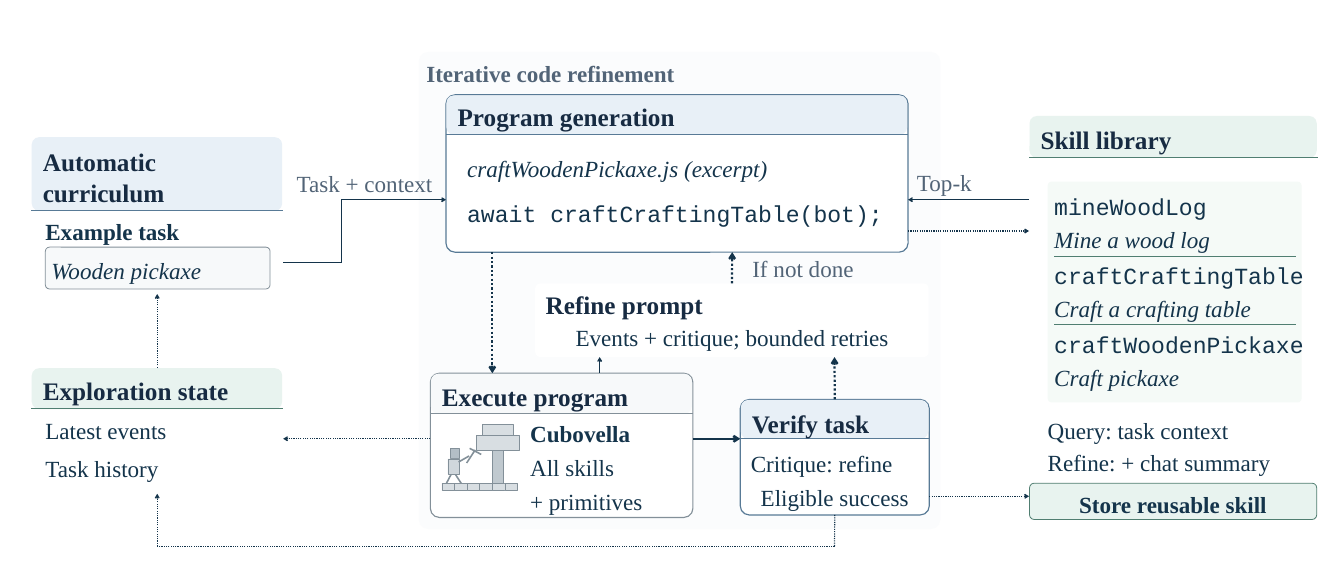
from dataclasses import dataclass

from lxml import etree
from pptx import Presentation
from pptx.dml.color import RGBColor
from pptx.enum.dml import MSO_LINE
from pptx.enum.shapes import MSO_CONNECTOR, MSO_SHAPE
from pptx.enum.text import MSO_ANCHOR, MSO_AUTO_SIZE, PP_ALIGN
from pptx.oxml.ns import qn
from pptx.util import Inches, Pt

STRAIGHT = MSO_CONNECTOR.STRAIGHT
ROUNDED = MSO_SHAPE.ROUNDED_RECTANGLE
RECTANGLE = MSO_SHAPE.RECTANGLE
DOTTED = MSO_LINE.ROUND_DOT
MIDDLE = MSO_ANCHOR.MIDDLE
NO_FIT = MSO_AUTO_SIZE.NONE
LEFT, CENTER = PP_ALIGN.LEFT, PP_ALIGN.CENTER
TOP_SIDE, BOTTOM_SIDE = 0, 2


@dataclass(frozen=True)
class Theme:
    serif: str = "Times New Roman"
    mono: str = "Courier New"
    heading_size: int = 36
    body_size: int = 33
    white: str = "FFFFFF"
    panel: str = "FBFCFD"
    heading: str = "172B42"
    ink: str = "14344B"
    muted: str = "526477"
    blue: str = "587A96"
    blue_tint: str = "E8F0F7"
    green: str = "507E71"
    green_tint: str = "E8F3EF"
    green_pale: str = "F5FAF7"
    gray: str = "839099"
    gray_tint: str = "F7F9FA"
    block: str = "D8DEE2"
    pillar: str = "C0C9CF"
    head: str = "B3BEC6"
    torso: str = "D0D7DC"
    thin: float = 1.05
    edge: float = 1.13
    wire: float = 1.65
    limb: float = 2.25
    thick: float = 3.15


THEME = Theme()


@dataclass(frozen=True)
class Style:
    size: int = THEME.body_size
    color: str = THEME.ink
    bold: bool = False
    italic: bool = False
    face: str = THEME.serif


BODY = Style()
STRONG = Style(bold=True)
ITALIC = Style(italic=True)
CODE = Style(face=THEME.mono)
HEADING = Style(THEME.heading_size, THEME.heading, bold=True)
LABEL = Style(color=THEME.muted)
TITLE = Style(color=THEME.muted, bold=True)


def add_block(page, area, fill, line=None, weight=THEME.edge, radius=None):
    kind = RECTANGLE if radius is None else ROUNDED
    block = page.shapes.add_shape(kind, *map(Inches, area))
    block.shadow.inherit = False
    if radius is not None:
        block.adjustments[0] = radius / min(area[2:])
    block.fill.solid()
    block.fill.fore_color.rgb = RGBColor.from_string(fill)
    if line:
        block.line.color.rgb = RGBColor.from_string(line)
        block.line.width = Pt(weight)
    else:
        block.line.fill.background()
    return block


def add_line(page, start, end, color, weight, dotted=False, arrow=False):
    line = page.shapes.add_connector(STRAIGHT, *map(Inches, start + end))
    line.line.color.rgb = RGBColor.from_string(color)
    line.line.width = Pt(weight)
    if dotted:
        line.line.dash_style = DOTTED
    if arrow:
        etree.SubElement(line.line._get_or_add_ln(), qn("a:tailEnd"), type="arrow")
    etree.SubElement(line.element.spPr, qn("a:effectLst"))
    return line


def add_wire(page, points, weight=THEME.wire, dotted=True, source=None, target=None):
    last = len(points) - 2
    for index, (start, end) in enumerate(zip(points, points[1:])):
        wire = add_line(page, start, end, THEME.ink, weight, dotted, index == last)
        if source and index == 0:
            wire.begin_connect(*source)
        if target and index == last:
            wire.end_connect(*target)


def write_lines(box, area, lines, align=LEFT, pitch=0):
    box.left, box.top, box.width, box.height = map(Inches, area)
    frame = box.text_frame
    frame.word_wrap = True
    frame.auto_size = NO_FIT
    frame.vertical_anchor = MIDDLE
    frame.margin_left = frame.margin_right = frame.margin_top = frame.margin_bottom = 0
    for index, (text, style) in enumerate(lines):
        para = frame.add_paragraph() if index else frame.paragraphs[0]
        if box.is_placeholder:
            settings = para._p.get_or_add_pPr()
            settings.set("marL", "0")
            settings.set("indent", "0")
            etree.SubElement(settings, qn("a:buNone"))
        para.alignment = align
        para.space_before = Pt(pitch * 72 - style.size * 1.15 if index else 0)
        span = para.add_run()
        span.text = text
        span.font.name = style.face
        span.font.size = Pt(style.size)
        span.font.bold = style.bold
        span.font.italic = style.italic
        span.font.color.rgb = RGBColor.from_string(style.color)


def add_text(page, area, lines, align=LEFT, pitch=0):
    write_lines(page.shapes.add_textbox(0, 0, 0, 0), area, lines, align, pitch)


def fill_placeholder(page, holder, area, lines, pitch=0):
    page.shapes.element.append(holder.element)
    write_lines(holder, area, lines, pitch=pitch)


def add_header(page, card, depth, tint, rule, text_top, *words):
    left, top, width, _ = card
    add_block(page, (left + 0.01, top + 0.01, width - 0.03, depth), tint, radius=0.146)
    add_line(page, (left, top + depth), (left + width, top + depth), rule, THEME.thin)
    area = (left + 0.23, text_top, width - 0.46, 0.59 * len(words))
    add_text(page, area, [(word, HEADING) for word in words], pitch=0.59)


def add_crafting_scene(page):
    pieces = [((8.77 + 0.25 * column, 9.58, 0.25, 0.15), THEME.block) for column in range(6)]
    pieces += [
        ((9.78, 8.92, 0.21, 0.67), THEME.pillar),
        ((9.58, 8.41, 0.6, 0.23), THEME.block),
        ((9.46, 8.64, 0.85, 0.29), THEME.block),
        ((8.93, 8.9, 0.19, 0.19), THEME.head),
        ((8.89, 9.1, 0.23, 0.3), THEME.torso),
    ]
    for area, fill in pieces:
        add_block(page, area, fill, THEME.gray)
    limbs = [
        ((8.95, 9.41), (8.86, 9.58)),
        ((9.04, 9.41), (9.15, 9.58)),
        ((9.1, 9.16), (9.31, 9.04)),
        ((9.26, 9.18), (9.43, 8.92)),
        ((9.32, 8.89), (9.55, 9.01)),
    ]
    for start, end in limbs:
        add_line(page, start, end, THEME.gray, THEME.limb)


def add_skills(page):
    add_block(page, (20.79, 3.6, 5.04, 4.38), THEME.green_pale, radius=0.083)
    skills = [
        ("mineWoodLog", "Mine a wood log"),
        ("craftCraftingTable", "Craft a crafting table"),
        ("craftWoodenPickaxe", "Craft pickaxe"),
    ]
    for index, (name, purpose) in enumerate(skills):
        top = 3.8 + 1.36 * index
        add_text(page, (20.92, top, 5.1, 1.25), [(name, CODE), (purpose, ITALIC)], pitch=0.63)
        if index:
            add_line(page, (20.92, top - 0.08), (25.71, top - 0.08), THEME.green, THEME.edge)


def main():
    deck = Presentation()
    deck.slide_width, deck.slide_height = Inches(26.67), Inches(11.46)
    page = deck.slides.add_slide(deck.slide_layouts[3])
    title, state_list, query_list = list(page.placeholders)[:3]

    add_block(page, (8.31, 1.03, 10.35, 9.46), THEME.panel, radius=0.19)
    cards = {
        "curriculum": ((0.62, 2.71, 5, 3.12), None),
        "program": ((8.85, 1.88, 9.17, 3.12), THEME.blue),
        "execute": ((8.54, 7.4, 5.21, 2.86), THEME.gray),
        "verify": ((14.69, 7.92, 3.75, 2.29), THEME.blue),
        "library": ((20.42, 2.29, 5.73, 8.44), None),
        "state": ((0.62, 7.29, 5, 2.5), None),
        "refine": ((10.62, 5.62, 7.81, 1.46), None),
    }
    areas = {name: area for name, (area, _) in cards.items()}
    shapes = {
        name: add_block(page, area, THEME.white, line, THEME.wire, 0.1 if name == "refine" else 0.178)
        for name, (area, line) in cards.items()
    }

    add_wire(page, [(5.62, 5.21), (6.77, 5.21), (6.77, 3.96), (8.85, 3.96)], dotted=False)
    add_wire(page, [(9.77, 5), (9.77, 7.4)], THEME.thick)
    add_wire(page, [(13.75, 8.7), (14.69, 8.7)], THEME.thick, dotted=False)
    add_wire(page, [(18.44, 9.84), (20.42, 9.84)])
    add_wire(page, [(20.42, 3.96), (18.02, 3.96)], dotted=False)
    add_wire(page, [(18.02, 4.58), (20.42, 4.58)])
    add_wire(page, [(8.54, 8.7), (5.62, 8.7)])
    add_wire(page, [(16.56, 10.21), (16.56, 10.83), (3.12, 10.83), (3.12, 9.79)],
             source=(shapes["verify"], BOTTOM_SIDE), target=(shapes["state"], BOTTOM_SIDE))
    add_wire(page, [(3.12, 7.29), (3.12, 5.83)],
             source=(shapes["state"], TOP_SIDE), target=(shapes["curriculum"], BOTTOM_SIDE))
    add_wire(page, [(11.9, 7.4), (11.9, 7.08)], dotted=False)
    add_wire(page, [(16.56, 7.92), (16.56, 7.08)], THEME.thick, source=(shapes["verify"], TOP_SIDE))
    add_wire(page, [(14.53, 5.62), (14.53, 5)], THEME.thick, source=(shapes["refine"], TOP_SIDE))

    add_header(page, areas["curriculum"], 1.46, THEME.blue_tint, THEME.blue, 2.92, "Automatic", "curriculum")
    add_header(page, areas["program"], 0.78, THEME.blue_tint, THEME.blue, 2.02, "Program generation")
    add_header(page, areas["execute"], 0.79, THEME.gray_tint, THEME.gray, 7.57, "Execute program")
    add_header(page, areas["verify"], 0.77, THEME.blue_tint, THEME.blue, 8.09, "Verify task")
    add_header(page, areas["library"], 0.83, THEME.green_tint, THEME.green, 2.46, "Skill library")
    add_header(page, areas["state"], 0.81, THEME.green_tint, THEME.green, 7.44, "Exploration state")
    add_block(page, (0.9, 4.9, 4.46, 0.83), THEME.gray_tint, THEME.gray, radius=0.083)
    add_block(page, (20.43, 9.58, 5.7, 0.72), THEME.green_tint, THEME.green, radius=0.094)
    add_crafting_scene(page)
    add_skills(page)

    fill_placeholder(page, title, (8.46, 1.15, 10.06, 0.6), [("Iterative code refinement", TITLE)])
    fill_placeholder(page, state_list, (0.9, 8.23, 4.46, 1.35),
                     [("Latest events", BODY), ("Task history", BODY)], 0.73)
    fill_placeholder(page, query_list, (20.79, 8.23, 5, 1.24),
                     [("Query: task context", BODY), ("Refine: + chat summary", BODY)], 0.62)
    add_text(page, (10.52, 8.3, 2.98, 1.93),
             [("Cubovella", STRONG), ("All skills", BODY), ("+ primitives", BODY)], pitch=0.66)
    for area, text, style, align in [
        ((10.83, 5.75, 7.4, 0.59), "Refine prompt", HEADING, LEFT),
        ((10.83, 6.38, 7.4, 0.62), "Events + critique; bounded retries", BODY, CENTER),
        ((5.69, 3.33, 3.09, 0.6), "Task + context", LABEL, CENTER),
        ((18.1, 3.31, 1.28, 0.6), "Top-k", LABEL, CENTER),
        ((14.77, 5.01, 2.33, 0.6), "If not done", LABEL, CENTER),
        ((0.9, 4.27, 4.46, 0.62), "Example task", STRONG, LEFT),
        ((1.02, 5.05, 4.29, 0.62), "Wooden pickaxe", ITALIC, LEFT),
        ((9.27, 3.02, 8.33, 0.62), "craftWoodenPickaxe.js (excerpt)", ITALIC, LEFT),
        ((9.27, 3.91, 8.33, 0.62), "await craftCraftingTable(bot);", CODE, LEFT),
        ((14.9, 8.88, 3.33, 0.62), "Critique: refine", BODY, LEFT),
        ((14.9, 9.54, 3.33, 0.62), "Eligible success", BODY, CENTER),
        ((20.62, 9.69, 5.31, 0.62), "Store reusable skill", STRONG, CENTER),
    ]:
        add_text(page, area, [(text, style)], align)
    for holder in list(page.placeholders):
        if not holder.text_frame.text:
            holder.element.getparent().remove(holder.element)
    deck.save("out.pptx")


if __name__ == "__main__":
    main()
